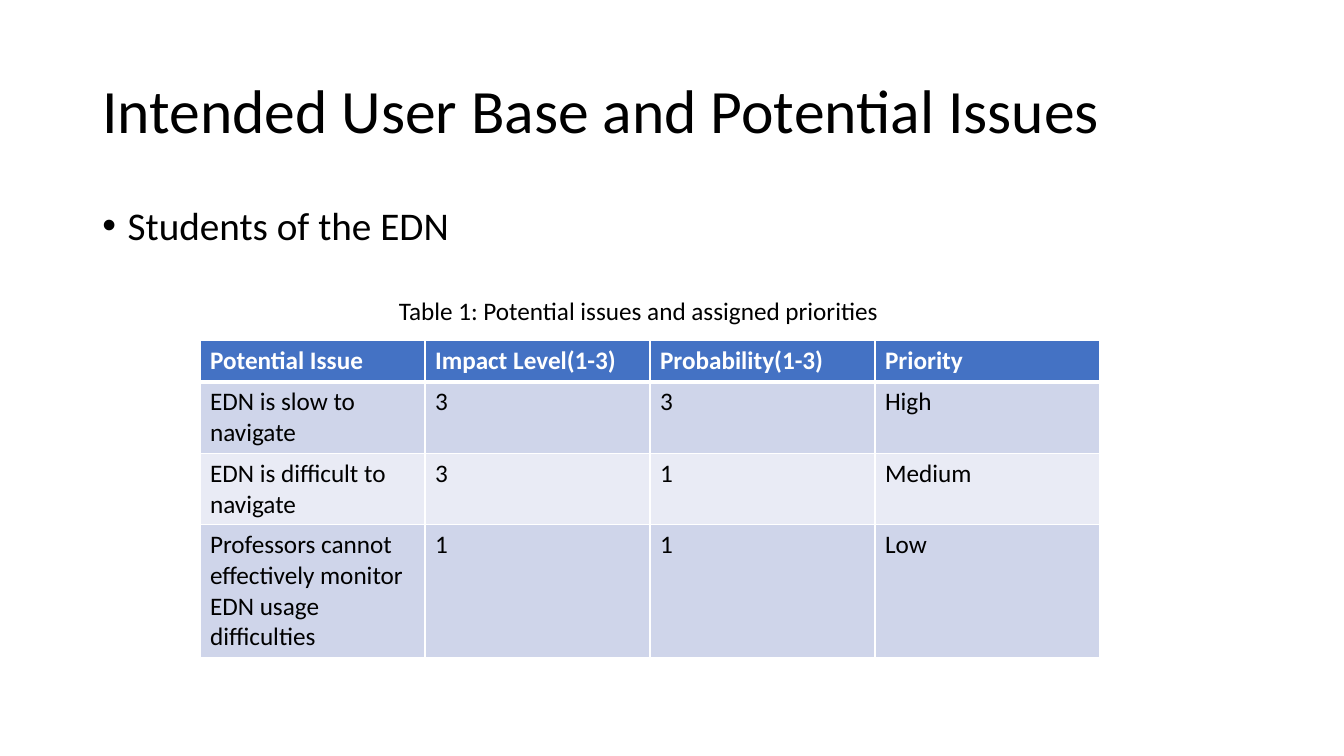
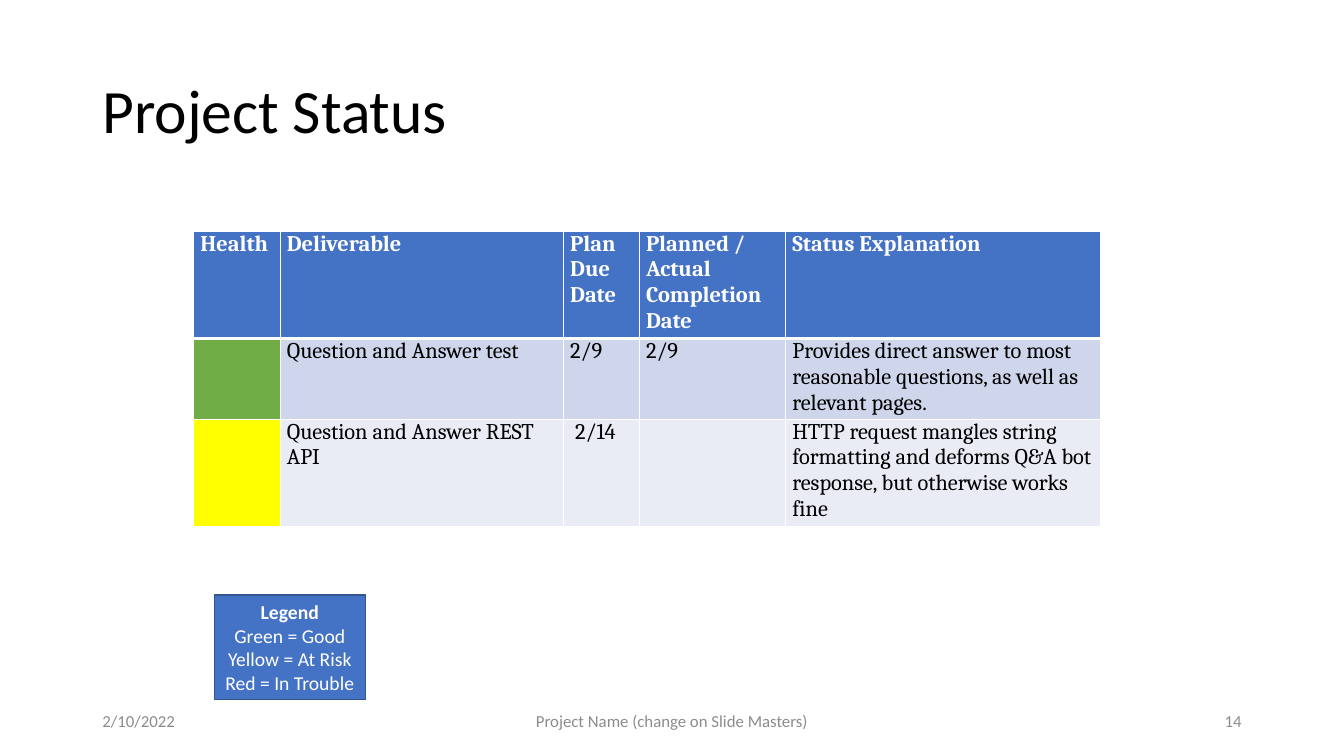
from lxml.etree import SubElement
from pptx import Presentation
from pptx.dml.color import RGBColor
from pptx.enum.shapes import MSO_SHAPE
from pptx.enum.text import MSO_ANCHOR, PP_ALIGN
from pptx.oxml.ns import qn
from pptx.util import Cm, Pt

COLORS = {
    "black": "000000",
    "white": "FFFFFF",
    "blue": "4472C4",
    "edge": "325491",
    "dark": "CFD5EA",
    "light": "E9EBF5",
    "gray": "8C8C8C",
    "green": "70AD47",
    "yellow": "FFFF00",
}
FONT = "Calibri"
LEFT, WIDTH = 2.33, 29.21


def color(name):
    return RGBColor.from_string(COLORS[name])


def paint(target, name):
    target.fill.solid()
    target.fill.fore_color.rgb = color(name)


def write(frame, text, size, tint="black", font=FONT, bold=False, align=PP_ALIGN.LEFT):
    frame.text = text
    for par in frame.paragraphs:
        par.alignment = align
        par.font.name = font
        par.font.size = Pt(size)
        par.font.bold = bold
        par.font.color.rgb = color(tint)


def add_text(slide, text, box, size, tint="black", align=PP_ALIGN.LEFT, anchor=MSO_ANCHOR.TOP):
    frame = slide.shapes.add_textbox(*map(Cm, box)).text_frame
    frame.word_wrap = True
    frame.vertical_anchor = anchor
    write(frame, text, size, tint, align=align)
    return frame.paragraphs[0]


def add_title(slide, text):
    par = add_text(slide, text, (LEFT, 1.01, WIDTH, 3.68), 44, anchor=MSO_ANCHOR.MIDDLE)
    par.line_spacing = 0.9


def add_bullet(slide, text):
    par = add_text(slide, text, (LEFT, 5.08, WIDTH, 12.09), 28)
    par.line_spacing = 0.9
    par.space_before = Pt(10)
    props = par._p.get_or_add_pPr()
    props.set("marL", str(Cm(0.64)))
    props.set("indent", str(-Cm(0.64)))
    SubElement(props, qn("a:buFont"), typeface="Arial")
    SubElement(props, qn("a:buChar"), char="•")


def add_footer(slide, date, name, number):
    parts = (
        (date, LEFT, 7.62, PP_ALIGN.LEFT),
        (name, 11.22, 11.43, PP_ALIGN.CENTER),
        (number, 23.92, 7.62, PP_ALIGN.RIGHT),
    )
    for text, left, width, align in parts:
        add_text(slide, text, (left, 17.65, width, 1.01), 12, "gray", align, MSO_ANCHOR.MIDDLE)


def add_borders(cell, row):
    props = cell._tc.get_or_add_tcPr()
    thick = {0: "lnB", 1: "lnT"}.get(row)
    for side in ("lnL", "lnR", "lnT", "lnB"):
        width = Pt(3 if side == thick else 1)
        line = SubElement(props, qn(f"a:{side}"), w=str(width))
        fill = SubElement(line, qn("a:solidFill"))
        SubElement(fill, qn("a:srgbClr"), val=COLORS["white"])


def add_grid(slide, rows, spot, widths, heights, size, font=FONT, inset=None):
    total = (sum(widths), sum(heights))
    table = slide.shapes.add_table(len(rows), len(widths), *map(Cm, spot + total)).table
    for col, width in zip(table.columns, widths):
        col.width = Cm(width)
    for r, (texts, height) in enumerate(zip(rows, heights)):
        table.rows[r].height = Cm(height)
        head = r == 0
        for c, text in enumerate(texts):
            cell = table.cell(r, c)
            if inset:
                cell.margin_left = cell.margin_right = Cm(inset)
                cell.margin_top = cell.margin_bottom = 0
            write(cell.text_frame, text, size, "white" if head else "black", font, head)
            add_borders(cell, r)
            paint(cell, "blue" if head else "dark" if r % 2 else "light")
    return table


def add_legend(slide, text):
    box = slide.shapes.add_shape(MSO_SHAPE.RECTANGLE, *map(Cm, (5.4, 14.99, 3.81, 2.64)))
    box.shadow.inherit = False
    paint(box, "blue")
    box.line.color.rgb = color("edge")
    box.line.width = Pt(1)
    frame = box.text_frame
    frame.word_wrap = False
    write(frame, text, 14, "white", align=PP_ALIGN.CENTER)
    frame.paragraphs[0].font.bold = True


def add_issues(slide):
    add_title(slide, "Intended User Base and Potential Issues")
    add_bullet(slide, "Students of the EDN")
    rows = (
        ("Potential Issue", "Impact Level(1-3)", "Probability(1-3)", "Priority"),
        ("EDN is slow to navigate", "3", "3", "High"),
        ("EDN is difficult to navigate", "3", "1", "Medium"),
        ("Professors cannot effectively monitor EDN usage difficulties", "1", "1", "Low"),
    )
    add_grid(slide, rows, (5.04, 8.59), (5.67,) * 4, (1.03, 1.8, 1.8, 3.36), 18)
    add_text(slide, "Table 1: Potential issues and assigned priorities", (9.8, 7.32, 14.25, 1.03), 18)


def add_status(slide):
    rows = (
        ("Health", "Deliverable", "Plan\nDue\nDate", "Planned / Actual\nCompletion\nDate", "Status Explanation"),
        ("", "Question and Answer test", "2/9", "2/9",
         "Provides direct answer to most reasonable questions, as well as relevant pages."),
        ("", "Question and Answer REST API", " 2/14", "",
         "HTTP request mangles string formatting and deforms Q&A bot response, but otherwise works fine"),
    )
    widths = (2.18, 7.14, 1.91, 3.69, 7.93)
    table = add_grid(slide, rows, (4.88, 5.82), widths, (2.6, 1.95, 2.6), 16, "Cambria", 0.17)
    for row, health in enumerate(("green", "yellow"), 1):
        paint(table.cell(row, 0), health)
    add_title(slide, "Project Status")
    add_footer(slide, "2/10/2022", "Project Name (change on Slide Masters)", "14")
    add_legend(slide, "Legend\nGreen = Good\nYellow = At Risk\nRed = In Trouble")


def main():
    deck = Presentation()
    deck.slide_width, deck.slide_height = Cm(33.87), Cm(19.05)
    for build in (add_issues, add_status):
        build(deck.slides.add_slide(deck.slide_layouts[6]))
    deck.save("out.pptx")


if __name__ == "__main__":
    main()
